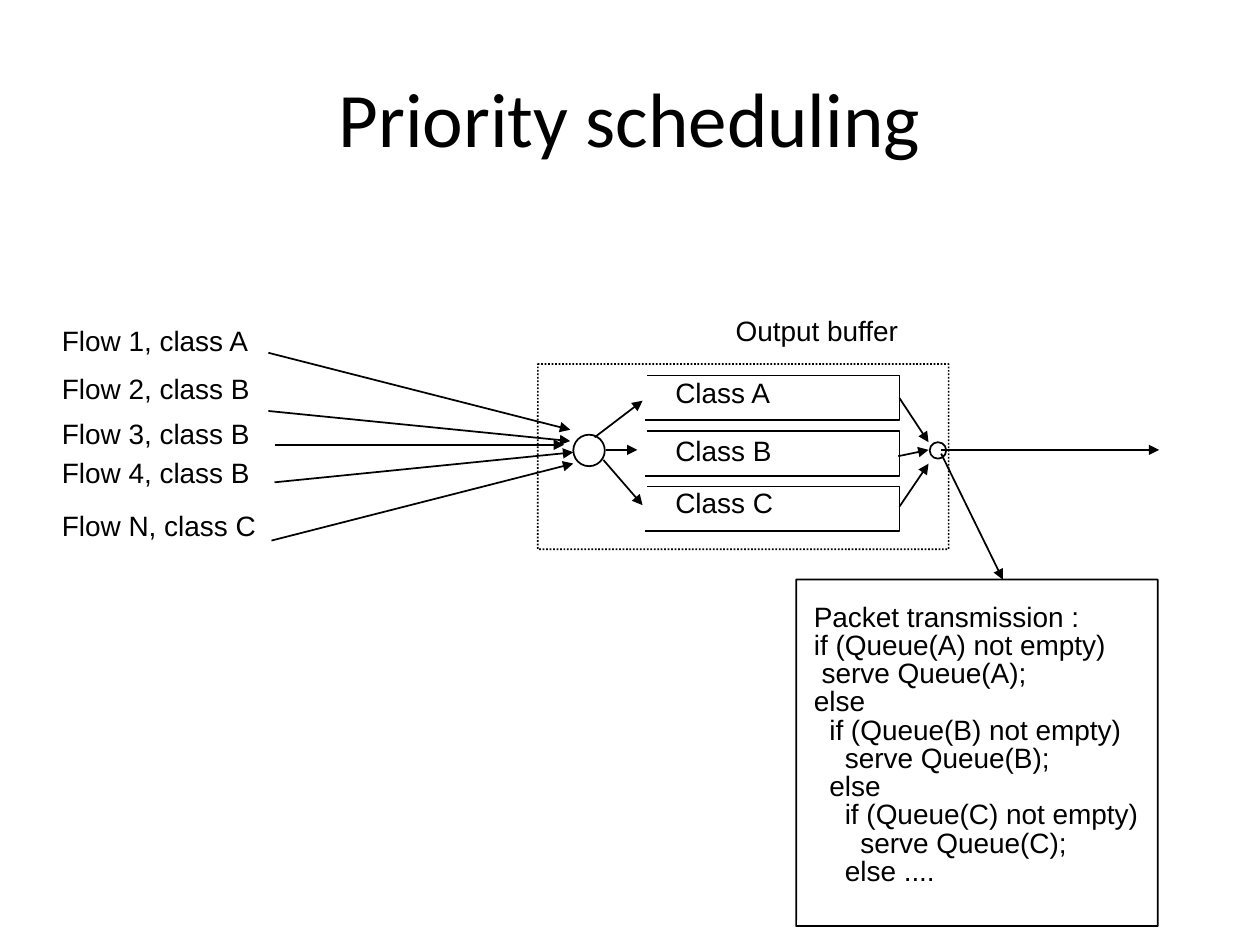
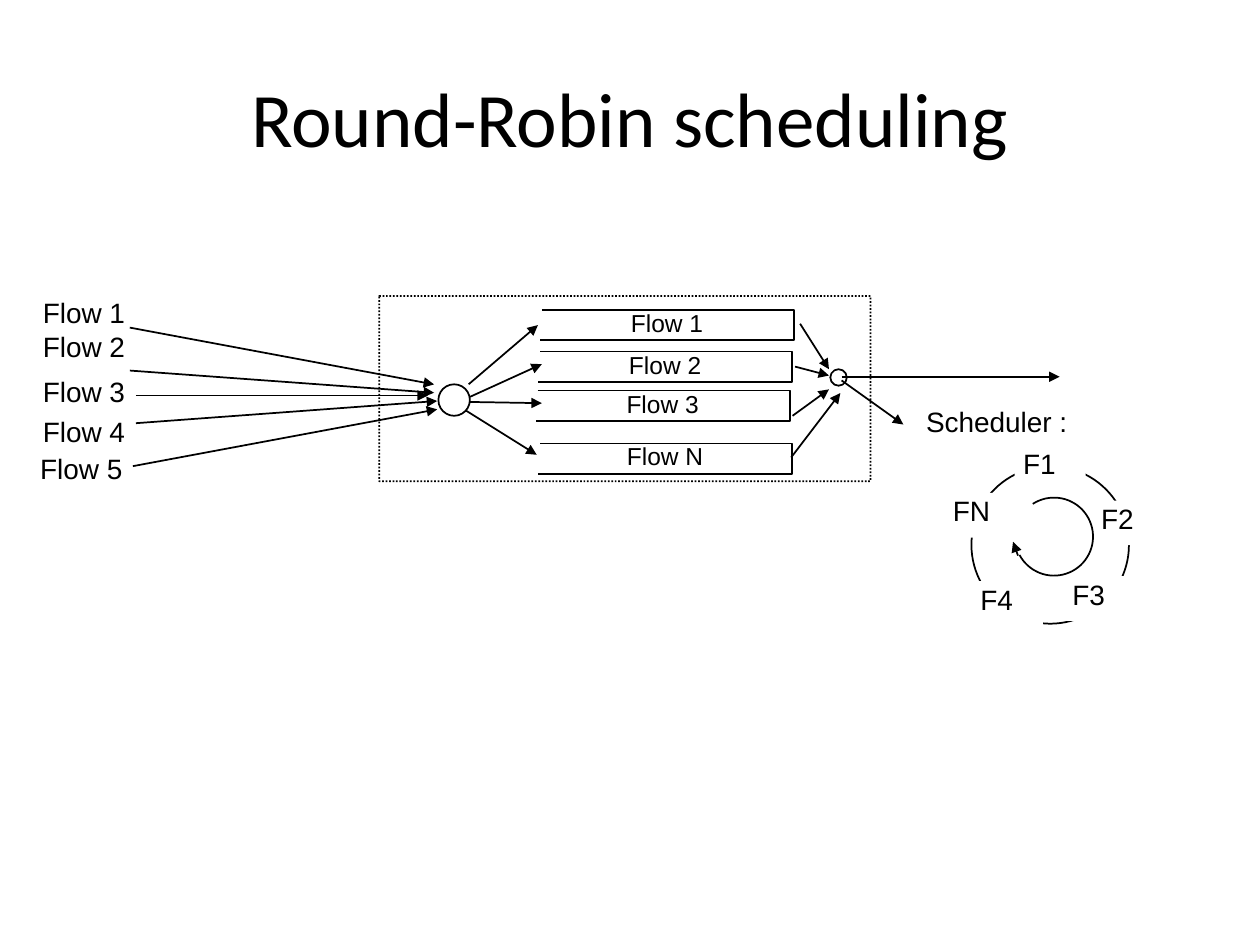
import math
from dataclasses import dataclass

from lxml import etree
from pptx import Presentation
from pptx import util as u
from pptx.dml.color import RGBColor
from pptx.enum import dml, shapes, text
from pptx.oxml import ns

Pt = u.Pt


@dataclass(frozen=True)
class Theme:
    ink: RGBColor = RGBColor(0, 0, 0)
    paper: RGBColor = RGBColor(255, 255, 255)
    head_font: str = "Calibri"
    body_font: str = "Arial"
    title: float = 44
    body: float = 16
    queue: float = 14
    line: float = 1
    spacing: float = 0.84


@dataclass(frozen=True)
class Box:
    x: float
    y: float
    w: float
    h: float

    def inner(self, dx, dy, w, h):
        return Box(self.x + dx, self.y + dy, w, h)

    def point(self, dx, dy):
        return Pt(self.x + dx), Pt(self.y + dy)

    def emu(self):
        return [Pt(v) for v in (self.x, self.y, self.w, self.h)]


T = Theme()
KIND = shapes.MSO_SHAPE
LEFT, CENTER = text.PP_ALIGN.LEFT, text.PP_ALIGN.CENTER
TOP, MIDDLE = text.MSO_ANCHOR.TOP, text.MSO_ANCHOR.MIDDLE
TITLE_BOX = Box(36, 21.6, 648, 90)
QUEUE_W, QUEUE_NOTCH = 145.4, 1.2
MERGE_D, OUTPUT_D = 18, 9.4
FAN_STARTS = [(0, 0), (0, .31), (.02, .49), (.02, .69), (.01, 1)]
FAN_TIPS = [(.99, .41), (.99, .47), (.97, .49), (1, .53), (1, .59)]


def assign(target, **values):
    for name, value in values.items():
        setattr(target, name, value)


def stroke(sp, color=T.ink):
    sp.line.color.rgb = color
    sp.line.width = Pt(T.line)


def add_text(s, box, content, size=T.body, font=T.body_font, align=LEFT,
             anchor=TOP, wrap=False, spacing=T.spacing, inset=0):
    tf = s.shapes.add_textbox(*box.emu()).text_frame
    assign(tf, word_wrap=wrap, vertical_anchor=anchor,
           auto_size=text.MSO_AUTO_SIZE.NONE,
           **{f"margin_{side}": Pt(inset)
              for side in ("left", "top", "right", "bottom")})
    for i, row in enumerate(content.split("\n")):
        p = tf.add_paragraph() if i else tf.paragraphs[0]
        assign(p, alignment=align, line_spacing=spacing)
        r = p.add_run()
        r.text = row
        assign(r.font, size=Pt(size), name=font)
        r.font.color.rgb = T.ink


def add_outline(s, kind, box, color=T.ink, fill=None):
    sp = s.shapes.add_shape(kind, *box.emu())
    sp.shadow.inherit = False
    if kind == KIND.ROUNDED_RECTANGLE:
        sp.adjustments[0] = 0.001
    if fill is None:
        sp.fill.background()
    else:
        sp.fill.solid()
        sp.fill.fore_color.rgb = fill
    stroke(sp, color)
    return sp


def add_path(s, box, points):
    points = [box.point(*xy) for xy in points]
    builder = s.shapes.build_freeform(*points[0])
    builder.add_line_segments(points[1:], close=False)
    sp = builder.convert_to_shape()
    sp.shadow.inherit = False
    sp.fill.background()
    stroke(sp)


def add_arrow(s, box, start, end):
    cx = s.shapes.add_connector(shapes.MSO_CONNECTOR.STRAIGHT,
                                *box.point(*start), *box.point(*end))
    stroke(cx)
    etree.SubElement(cx.line._get_or_add_ln(), ns.qn("a:tailEnd"), type="triangle")
    etree.SubElement(cx._element.spPr, ns.qn("a:effectLst"))


def add_title(s, title):
    add_text(s, TITLE_BOX, title, T.title, T.head_font, CENTER, MIDDLE,
             wrap=True, spacing=1, inset=3.6)


def add_flows(s, box, labels, label_w):
    for name, dx, dy in labels:
        add_text(s, box.inner(dx, dy, label_w, 18.7), name)
    for start, tip in zip(FAN_STARTS, FAN_TIPS):
        add_arrow(s, box, *((fx * box.w, fy * box.h) for fx, fy in (start, tip)))


def add_queue(s, box):
    add_path(s, box, [(QUEUE_NOTCH, 0), (box.w, 0), (box.w, box.h), (0, box.h)])


def add_buffer(s, box, merge, output, arrows):
    frame = add_outline(s, KIND.ROUNDED_RECTANGLE, box)
    frame.line.dash_style = dml.MSO_LINE.ROUND_DOT
    for (dx, dy), d in ((merge, MERGE_D), (output, OUTPUT_D)):
        add_outline(s, KIND.OVAL, box.inner(dx, dy, d, d))
    for start, end in arrows:
        add_arrow(s, box, start, end)


def add_code(s, box, code):
    add_outline(s, KIND.ROUNDED_RECTANGLE, box)
    add_text(s, box.inner(10.1, 14.4, 191.5, 162.7), code)


def add_wheel(s, box, stops):
    add_outline(s, KIND.OVAL, box)
    for name, dx, dy, w in stops:
        plate = box.inner(dx, dy, 39.6, 24.5)
        add_outline(s, KIND.ROUNDED_RECTANGLE, plate, T.paper, T.paper)
        add_text(s, plate.inner(4, 3.2, w, 18.7), name, align=CENTER)
    cx, cy, radius = 47.2, 40.3, 22.3
    turn = [math.radians(a) for a in range(152, -124, -5)]
    add_path(s, box, [(cx + radius * math.cos(a), cy + radius * math.sin(a))
                      for a in turn])
    add_arrow(s, box, (26.6, 51.1), (23.8, 43.2))


def priority_slide(s):
    add_title(s, "Priority scheduling")
    add_flows(s, Box(153.4, 201.6, 174.2, 107.3), [
        ("Flow 1, class A", -118, -13.7),
        ("Flow 2, class B", -118, 13.7),
        ("Flow 3, class B", -118, 39.6),
        ("Flow 4, class B", -118, 61.9),
        ("Flow N, class C", -118, 92.2),
    ], 112)
    buffer = Box(307.4, 208.1, 234.7, 105.8)
    add_buffer(s, buffer, (20.2, 40.3), (223.9, 44.6), [
        ((32.4, 41.8), (59.8, 20.9)),
        ((38.9, 49), (56.9, 49)),
        ((37.4, 54.7), (59.8, 80.6)),
        ((206.6, 19.4), (223.2, 44.6)),
        ((205.9, 52.6), (223.2, 49)),
        ((206.6, 81.4), (223.2, 56.9)),
        ((230.4, 49), (355, 49)),
        ((230.4, 51.1), (265.7, 123.1)),
    ])
    add_text(s, buffer.inner(113, -25.9, 94.3, 18.7), "Output buffer")
    labels = [("Class A", 9.4), ("Class B", 42.5), ("Class C", 72.7)]
    for i, (name, dy) in enumerate(labels):
        add_queue(s, buffer.inner(61.2, 6.5 + 31.7 * i, QUEUE_W, 25.6))
        add_text(s, buffer.inner(78.5, dy, 56.9, 18.7), name)
    add_code(s, Box(455, 331.2, 206.6, 198), """Packet transmission :
if (Queue(A) not empty)
 serve Queue(A);
else
  if (Queue(B) not empty)
    serve Queue(B);
  else
    if (Queue(C) not empty)
      serve Queue(C);
    else ....""")


def round_robin_slide(s):
    add_title(s, "Round-Robin scheduling")
    add_flows(s, Box(74.2, 187.2, 175.6, 79.2), [
        ("Flow 1", -49.7, -15.1),
        ("Flow 2", -49.7, 4.3),
        ("Flow 3", -49.7, 30.2),
        ("Flow 4", -49.7, 52.6),
        ("Flow 5", -51.2, 74.2),
    ], 48.2)
    buffer = Box(216.7, 169.2, 280.8, 105.8)
    add_buffer(s, buffer, (33.8, 50.4), (257.8, 41.8), [
        ((51.1, 50.4), (90.7, 16.6)),
        ((51.8, 57.6), (92.9, 38.9)),
        ((51.8, 60.5), (92.9, 61.2)),
        ((49.7, 65.5), (90, 90.7)),
        ((240.5, 15.8), (257, 41.8)),
        ((237.6, 40.3), (257, 45.4)),
        ((236.2, 68.4), (257, 53.3)),
        ((235.4, 92.2), (263.5, 55.4)),
        ((264.2, 46.1), (388.8, 46.1)),
        ((264.2, 48.2), (299.5, 73.4)),
    ])
    for name, dx, dy in [("Flow 1", 91.8, 7.9), ("Flow 2", 90.7, 31.7),
                         ("Flow 3", 89.3, 54), ("Flow N", 90.7, 84.2)]:
        queue = buffer.inner(dx, dy, QUEUE_W, 17.3)
        add_queue(s, queue)
        add_text(s, queue, name, T.queue, align=CENTER, anchor=MIDDLE, wrap=True)
    add_text(s, Box(529.2, 234, 82.1, 18.7), "Scheduler :")
    add_wheel(s, Box(555.1, 266.4, 90, 90), [
        ("F1", 25.2, -11.5, 19.4),
        ("F2", 69.8, 20.2, 19.4),
        ("F3", 53.3, 63.4, 19.4),
        ("F4", 0.7, 66.2, 19.4),
        ("FN", -15.1, 15.8, 22.3),
    ])


def main():
    prs = Presentation()
    assign(prs, slide_width=Pt(720), slide_height=Pt(540))
    for build in (priority_slide, round_robin_slide):
        build(prs.slides.add_slide(prs.slide_layouts[6]))
    prs.save("out.pptx")


if __name__ == "__main__":
    main()
